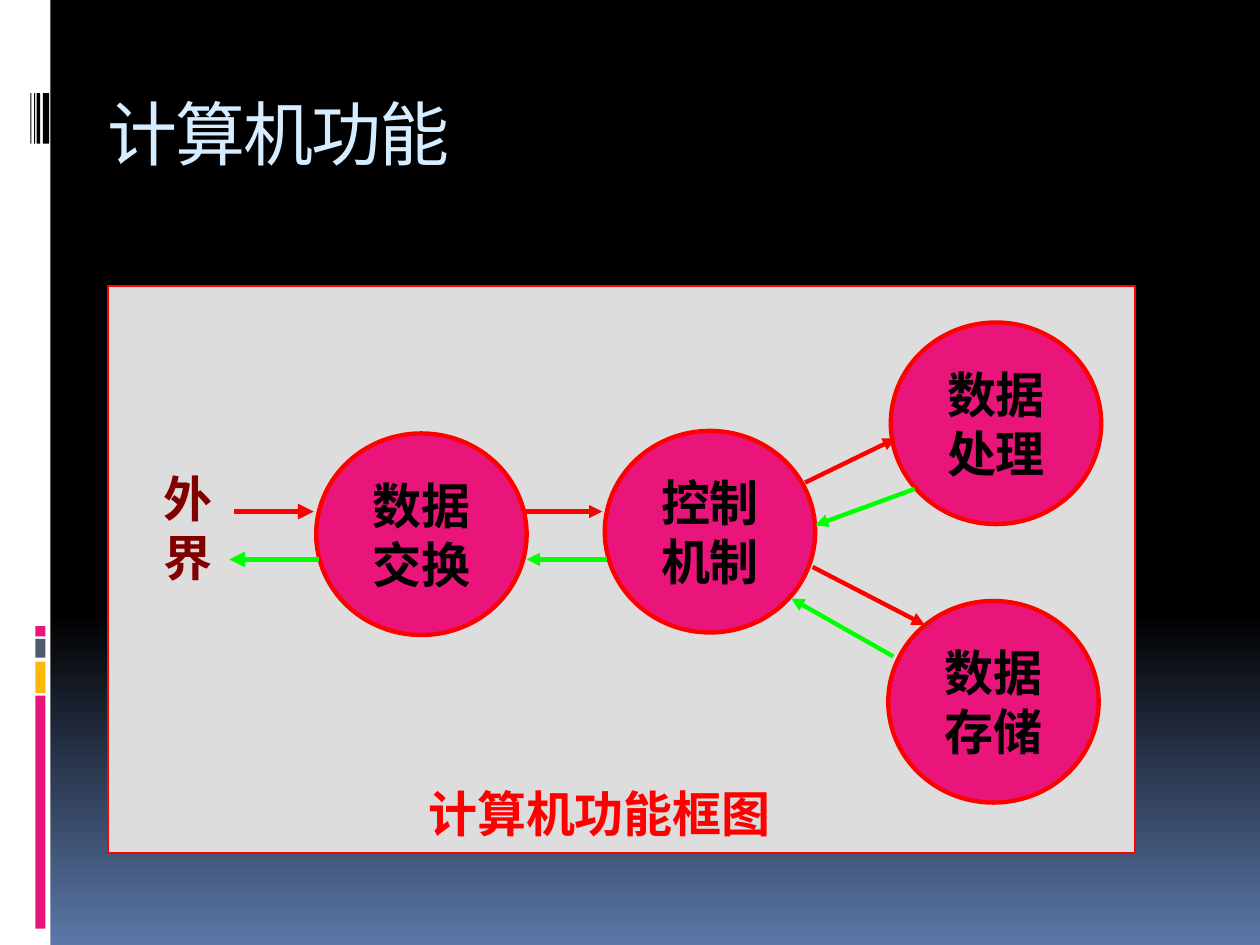
from lxml.etree import SubElement
from pptx import Presentation
from pptx.dml.color import RGBColor
from pptx.enum.shapes import MSO_CONNECTOR, MSO_SHAPE
from pptx.enum.text import MSO_ANCHOR, PP_ALIGN
from pptx.oxml.ns import qn
from pptx.util import Inches, Pt

PINK, RED, GREEN, BLACK = "EA157A", "FF0000", "00FF00", "000000"


def color(value):
    return RGBColor.from_string(value)


class FunctionSlide:
    title_font = "DejaVu Sans Mono"
    label_font = "Times New Roman"
    label_size = 28

    def __init__(self, presentation):
        self.slide = presentation.slides.add_slide(presentation.slide_layouts[5])

    def background(self, start, hold, end):
        fill = self.slide.background.fill
        fill.gradient()
        fill.gradient_angle = 270
        for stop, position, value in zip(fill.gradient_stops, (hold, 1), (start, end)):
            stop.position = position
            stop.color.rgb = color(value)

    def title(self, text, left, top, width, height):
        shape = self.slide.shapes.title
        shape.left, shape.top = Inches(left), Inches(top)
        shape.width, shape.height = Inches(width), Inches(height)
        frame = shape.text_frame
        frame.text = text
        frame.vertical_anchor = MSO_ANCHOR.TOP
        paragraph = frame.paragraphs[0]
        paragraph.alignment = PP_ALIGN.LEFT
        self.style(paragraph, self.title_font, 40, "D6ECFF", False)
        paragraph.runs[0].font._element.set("spc", "-100")

    def style(self, paragraph, name, size, value, bold):
        font = paragraph.font
        font.name, font.size, font.bold = name, Pt(size), bold
        font.color.rgb = color(value)

    def label(self, shape, text, value, alignment):
        frame = shape.text_frame
        frame.word_wrap = True
        frame.text = text
        paragraph = frame.paragraphs[0]
        paragraph.alignment = alignment
        self.style(paragraph, self.label_font, self.label_size, value, True)

    def block(self, kind, left, top, width, height, fill, line=None, line_width=1):
        shape = self.slide.shapes.add_shape(
            kind, Inches(left), Inches(top), Inches(width), Inches(height))
        shape.shadow.inherit = False
        shape.fill.solid()
        shape.fill.fore_color.rgb = color(fill)
        if line:
            shape.line.color.rgb = color(line)
            shape.line.width = Pt(line_width)
        else:
            shape.line.fill.background()
        return shape

    def node(self, text, left, top):
        shape = self.block(MSO_SHAPE.OVAL, left, top, 1.67, 1.6, PINK, RED, 2.5)
        shape.text_frame.vertical_anchor = MSO_ANCHOR.MIDDLE
        self.label(shape, text, BLACK, PP_ALIGN.CENTER)

    def text(self, text, left, top, width, height, value):
        shape = self.slide.shapes.add_textbox(
            Inches(left), Inches(top), Inches(width), Inches(height))
        self.label(shape, text, value, PP_ALIGN.LEFT)

    def arrow(self, start, end, value, width=2.5):
        points = [Inches(length) for length in (*start, *end)]
        connector = self.slide.shapes.add_connector(MSO_CONNECTOR.STRAIGHT, *points)
        connector.line.color.rgb = color(value)
        connector.line.width = Pt(width)
        SubElement(connector.line._get_or_add_ln(), qn("a:tailEnd"), type="triangle")
        SubElement(connector._element.spPr, qn("a:effectLst"))


def main():
    presentation = Presentation()
    presentation.slide_width, presentation.slide_height = Inches(10), Inches(7.5)
    page = FunctionSlide(presentation)
    page.background(BLACK, 0.65, "5B77A8")

    page.block(MSO_SHAPE.RECTANGLE, 0, 0, 0.4, 7.5, "FFFFFF")
    for top, height, fill in ((5.52, 1.85, PINK), (5.25, 0.25, "FEB80A"),
                              (5.07, 0.15, "4E5B6F"), (4.97, 0.08, PINK)):
        page.block(MSO_SHAPE.RECTANGLE, 0.28, top, 0.08, height, fill)
    for left, width in ((0.34, 0.05), (0.29, 0.03), (0.27, 0.01), (0.24, 0.01)):
        page.block(MSO_SHAPE.RECTANGLE, left, 0.74, width, 0.4, BLACK)

    page.title("计算机功能", 0.75, 0.67, 8.5, 1.25)
    page.block(MSO_SHAPE.RECTANGLE, 0.86, 2.27, 8.15, 4.5, "DDDDDD", RED)

    for text, left, top in (("数据交换", 2.51, 3.44), ("控制机制", 4.8, 3.42),
                            ("数据处理", 7.07, 2.56), ("数据存储", 7.05, 4.77)):
        page.node(text, left, top)

    page.arrow((4.16, 4.06), (4.78, 4.06), RED)
    page.arrow((4.82, 4.44), (4.18, 4.44), GREEN)
    page.arrow((6.39, 3.83), (7.11, 3.48), RED)
    page.arrow((7.26, 3.88), (6.47, 4.17), GREEN)
    page.arrow((6.45, 4.5), (7.34, 4.96), RED)
    page.arrow((7.09, 5.21), (6.28, 4.75), GREEN)
    page.arrow((1.86, 4.06), (2.49, 4.06), RED, 3)
    page.arrow((2.53, 4.44), (1.82, 4.44), GREEN, 3)

    page.text("外界", 1.2, 3.67, 0.52, 1.03, "800000")
    page.text("计算机功能框图", 3.3, 6.17, 3.21, 0.57, RED)
    presentation.save("out.pptx")


if __name__ == "__main__":
    main()
